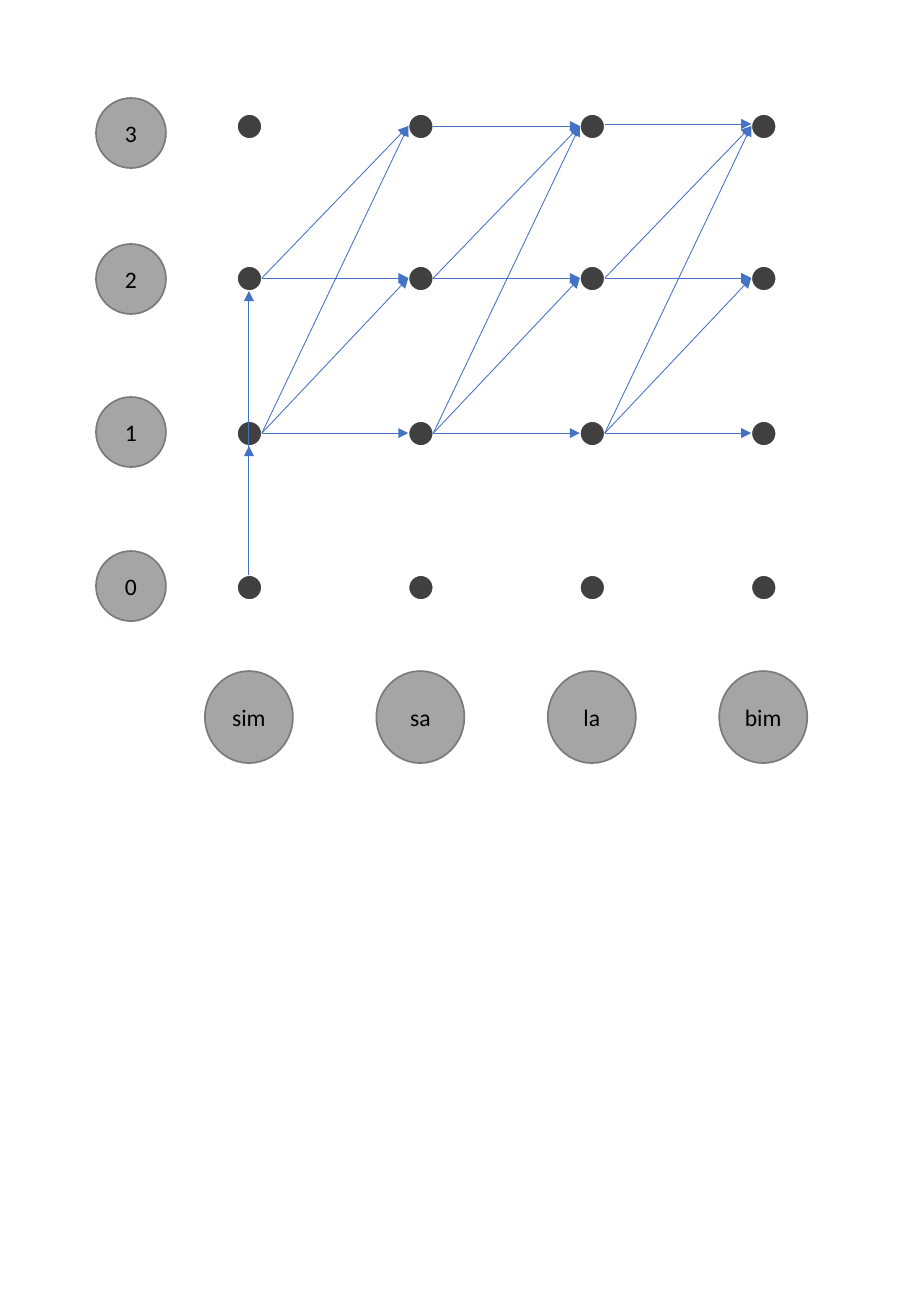
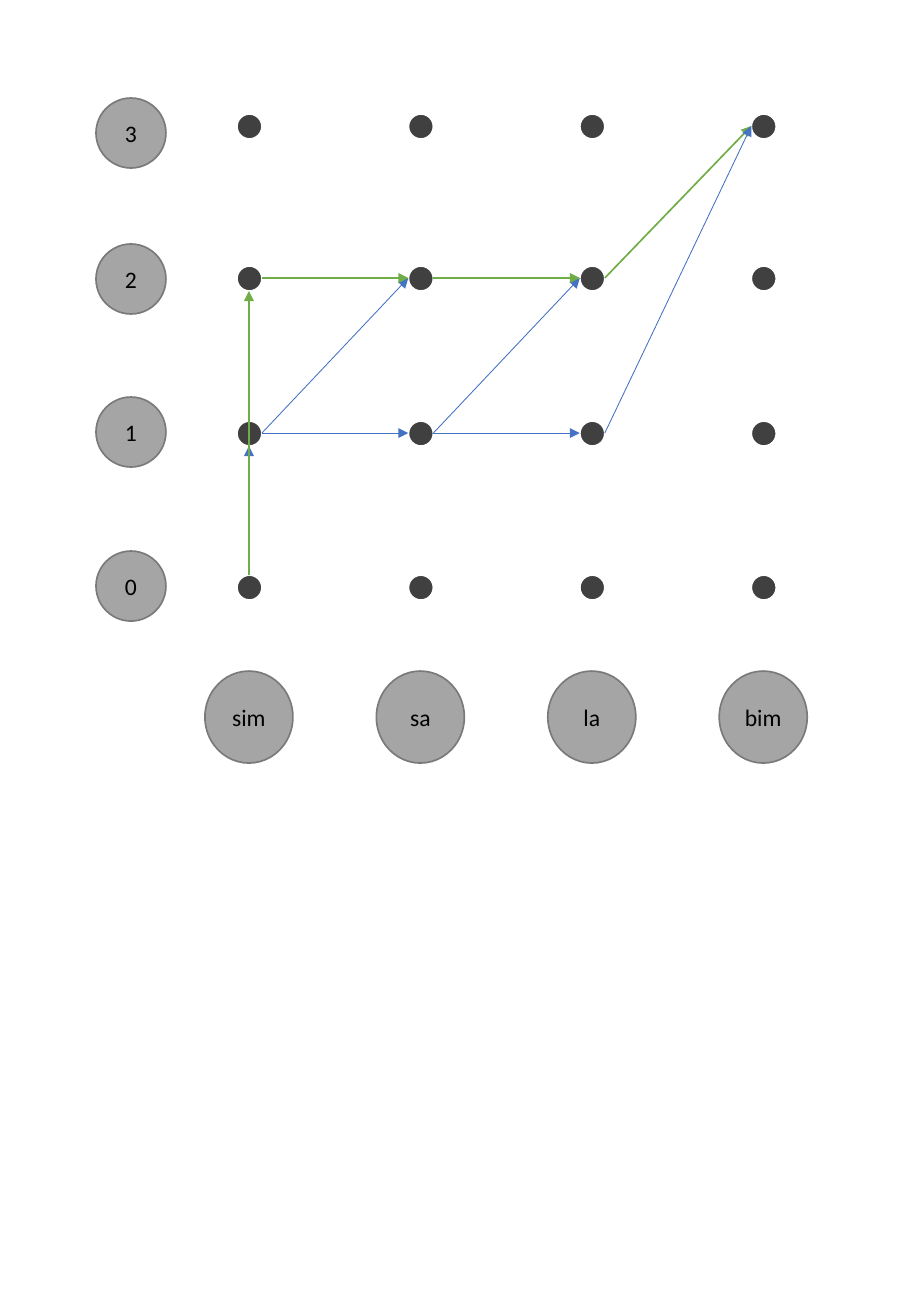
from lxml import etree
from pptx import Presentation
from pptx import util as u
from pptx.dml.color import RGBColor
from pptx.enum import shapes, text
from pptx.oxml.ns import qn

PX = 914400 / 121.5
INK = {
    "disc": "A5A5A5", "rim": "7A7A7A", "dot": "404040",
    "back": "FFFFFF", "text": "000000", "step": "4472C4", "best": "70AD47",
}
WORDS = ["sim", "sa", "la", "bim"]
BOX = (96, 98)                  # left and top of the lattice
FIRST, PITCH = 153, 171.5       # column centres
ROWS = [489, 335, 180, 28]      # row centres, level 0 upwards
LEVELS = [453, 299, 146, 0]     # tops of the level discs
DISC = 70
WORD_TOP, WORD_W, WORD_H = 573, 88, 92
DOT = 25


def emu(px):
    return u.Emu(round(px * PX))


def color(name):
    return RGBColor.from_string(INK[name])


def oval(slide, left, top, wide, high, fill, rim, label=""):
    disc = slide.shapes.add_shape(
        shapes.MSO_SHAPE.OVAL, emu(left), emu(top), emu(wide), emu(high))
    disc.shadow.inherit = False
    disc.fill.solid()
    disc.fill.fore_color.rgb = color(fill)
    disc.line.color.rgb = color(rim)
    disc.line.width = u.Pt(1)
    if label:
        frame = disc.text_frame
        frame.text = label
        frame.word_wrap = False
        frame.vertical_anchor = text.MSO_ANCHOR.MIDDLE
        line = frame.paragraphs[0]
        line.alignment = text.PP_ALIGN.CENTER
        font = line.runs[0].font
        font.name, font.size = "Calibri", u.Pt(14)
        font.color.rgb = color("text")


def spot(box, col, row):
    """Centre of a lattice dot."""
    return box[0] + FIRST + col * PITCH, box[1] + ROWS[row]


def lattice(slide, box):
    left, top = box
    # Level discs
    for row in reversed(range(len(ROWS))):
        oval(slide, left, top + LEVELS[row], DISC, DISC, "disc", "rim", str(row))
    # Syllable discs
    for col, word in enumerate(WORDS):
        mid = spot(box, col, 0)[0]
        oval(slide, mid - WORD_W / 2, top + WORD_TOP, WORD_W, WORD_H,
             "disc", "rim", word)
    # Dots
    for row in range(len(ROWS)):
        for col in range(len(WORDS)):
            x, y = spot(box, col, row)
            oval(slide, x - DOT // 2, y - DOT // 2, DOT, DOT, "dot", "back")


def arrow(slide, start, end, ink):
    line = slide.shapes.add_connector(
        shapes.MSO_CONNECTOR.STRAIGHT, *map(emu, start + end))
    line.line.color.rgb = color(ink)
    line.line.width = u.Pt(1 if ink == "best" else 0.5)
    etree.SubElement(line.line._get_or_add_ln(), qn("a:tailEnd"), type="triangle")
    etree.SubElement(line._element.spPr, qn("a:effectLst"))


def rise(slide, box, row, ink="step"):
    """Arrow up the first column from level 0."""
    x, low = spot(box, 0, 0)
    high = spot(box, 0, row)[1]
    arrow(slide, (x, low - DOT // 2), (x, high + DOT // 2 + 1), ink)


def hop(slide, box, col, row, goal, ink="step", lift=0):
    """Arrow from a dot to a dot of the next column."""
    x, y = spot(box, col, row)
    far, end = spot(box, col + 1, goal)
    arrow(slide, (x + DOT // 2 + 1, y - lift), (far - DOT // 2, end - lift), ink)


def trellis(slide, box):
    lattice(slide, box)
    for row in (1, 2):
        rise(slide, box, row)
    # Each level keeps or climbs; level 3 is not reached in the first column
    for col in range(3):
        for row in range(1, 4 if col else 3):
            for goal in range(row, 4):
                lift = 2 if (col, row) == (2, 3) else 0
                hop(slide, box, col, row, goal, lift=lift)


def route(slide, box):
    lattice(slide, box)
    # Candidate steps
    rise(slide, box, 1)
    for col in (0, 1):
        for goal in (1, 2):
            hop(slide, box, col, 1, goal)
    # Best route
    rise(slide, box, 2, "best")
    for col, goal in enumerate((2, 2, 3)):
        hop(slide, box, col, 2, goal, "best")
    # Last candidate
    hop(slide, box, 2, 1, 3)


deck = Presentation()
deck.slide_width, deck.slide_height = u.Inches(7.5), u.Inches(10.83)
for draw in (trellis, route):
    draw(deck.slides.add_slide(deck.slide_layouts[6]), BOX)
deck.save("out.pptx")
